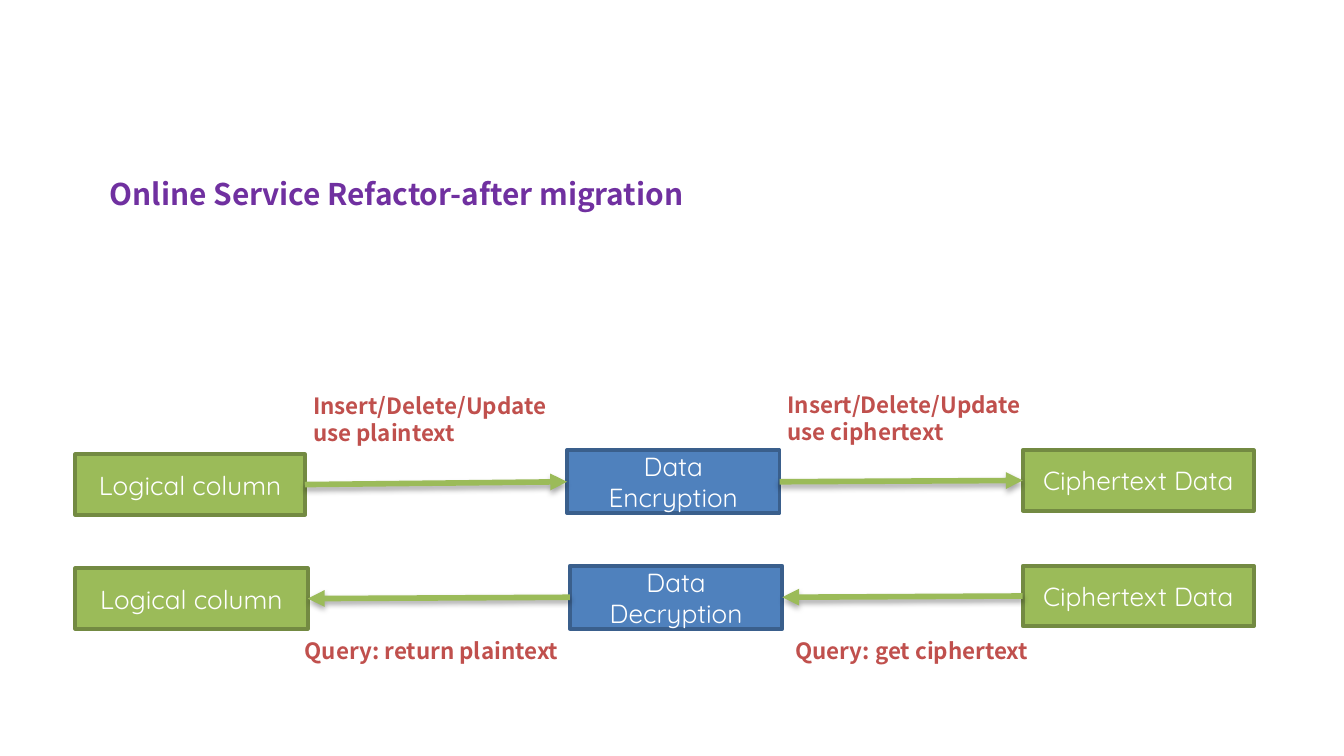
from lxml import etree
from pptx import Presentation
from pptx.dml.color import RGBColor
from pptx.enum.shapes import MSO_CONNECTOR, MSO_SHAPE
from pptx.enum.text import MSO_ANCHOR, MSO_AUTO_SIZE, PP_ALIGN
from pptx.oxml import parse_xml
from pptx.oxml.ns import nsdecls, qn
from pptx.util import Pt

COLORS = {
    "title": "7030A0",
    "label": "C0504D",
    "box_text": "FFFFFF",
    "data": "9BBB59",
    "data_line": "738A42",
    "process": "4F81BD",
    "process_line": "3A5F8C",
    "shadow": "000000",
}
TITLE_FONT = {"name": "Noto Sans CJK SC", "size": Pt(16), "bold": True}
LABEL_FONT = {**TITLE_FONT, "size": Pt(12)}
BOX_FONT = {"name": "Quicksand", "size": Pt(14)}
LEFT, RIGHT = 1, 3


def color(name):
    return RGBColor.from_string(COLORS[name])


def write(frame, lines, font, color_name, align=PP_ALIGN.LEFT):
    for i, line in enumerate(lines):
        paragraph = frame.paragraphs[0] if i == 0 else frame.add_paragraph()
        paragraph.alignment = align
        run = paragraph.add_run()
        run.text = line
        for key, value in font.items():
            setattr(run.font, key, value)
        run.font.color.rgb = color(color_name)


def add_text(slide, box, lines, font, color_name):
    frame = slide.shapes.add_textbox(*map(Pt, box)).text_frame
    frame.word_wrap = False
    frame.auto_size = MSO_AUTO_SIZE.SHAPE_TO_FIT_TEXT
    write(frame, lines, font, color_name)


def add_box(slide, box, lines, kind):
    shape = slide.shapes.add_shape(MSO_SHAPE.RECTANGLE, *map(Pt, box))
    shape.shadow.inherit = False
    shape.fill.solid()
    shape.fill.fore_color.rgb = color(kind)
    shape.line.color.rgb = color(kind + "_line")
    shape.line.width = Pt(2)
    shape.text_frame.word_wrap = True
    shape.text_frame.vertical_anchor = MSO_ANCHOR.MIDDLE
    write(shape.text_frame, lines, BOX_FONT, "box_text", PP_ALIGN.CENTER)
    return shape


def add_arrow(slide, source, source_side, target, target_side):
    arrow = slide.shapes.add_connector(MSO_CONNECTOR.STRAIGHT, 0, 0, 0, 0)
    arrow.begin_connect(source, source_side)
    arrow.end_connect(target, target_side)
    arrow.line.color.rgb = color("data")
    arrow.line.width = Pt(3)
    etree.SubElement(arrow.line._get_or_add_ln(), qn("a:tailEnd"), type="triangle")
    arrow._element.spPr.append(parse_xml(
        f'<a:effectLst {nsdecls("a")}>'
        f'<a:outerShdw blurRad="{Pt(3.1)}" dist="{Pt(1.8)}" dir="5400000" rotWithShape="0">'
        f'<a:srgbClr val="{COLORS["shadow"]}"><a:alpha val="35000"/></a:srgbClr>'
        '</a:outerShdw></a:effectLst>'))


def add_flow(slide, left, top, column, process, labels, reverse=False):
    """Place logical column, process and ciphertext boxes; reverse points the arrows left."""
    column_drop, column_width = column
    process_offset, process_name = process
    logical = add_box(slide, (left, top + column_drop, column_width, 32.4),
                      ["Logical column"], "data")
    step = add_box(slide, (left + process_offset, top, 113.8, 33.8),
                   ["Data", process_name], "process")
    cipher = add_box(slide, (left + 507.6, top, 123.8, 32.4),
                     ["Ciphertext Data"], "data")
    for near, far in ((logical, step), (step, cipher)):
        if reverse:
            add_arrow(slide, far, LEFT, near, RIGHT)
        else:
            add_arrow(slide, near, RIGHT, far, LEFT)
    for (x, y, width, height), lines in labels:
        add_text(slide, (left + x, top + y, width, height), lines, LABEL_FONT, "label")


def main():
    deck = Presentation()
    deck.slide_width, deck.slide_height = Pt(720), Pt(405)
    slide = deck.slides.add_slide(deck.slide_layouts[6])
    add_text(slide, (51.8, 90.7, 345.6, 26.6),
             ["Online Service Refactor-after migration"], TITLE_FONT, "title")
    add_flow(slide, 40.3, 241.2, (2.2, 123.1), (263.5, "Encryption"), [
        ((120.3, -34.6, 145.4, 36), ["Insert/Delete/Update", "use plaintext"]),
        ((374.4, -35.3, 145.4, 36), ["Insert/Delete/Update", "use ciphertext"]),
    ])
    add_flow(slide, 40.3, 303.1, (1.4, 124.6), (265, "Decryption"), [
        ((115.9, 34.6, 154.8, 21.6), ["Query: return plaintext"]),
        ((378.7, 34.6, 145.4, 21.6), ["Query: get ciphertext"]),
    ], reverse=True)
    deck.save("out.pptx")


if __name__ == "__main__":
    main()
